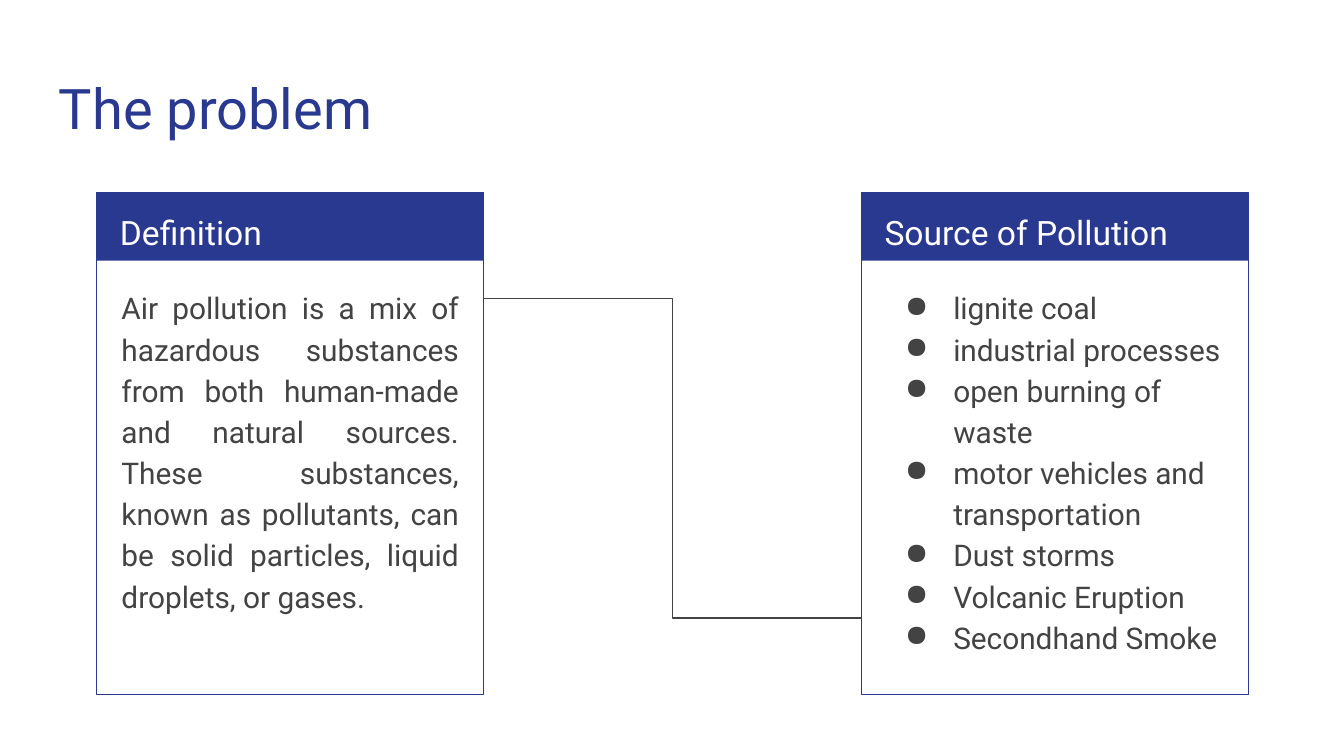
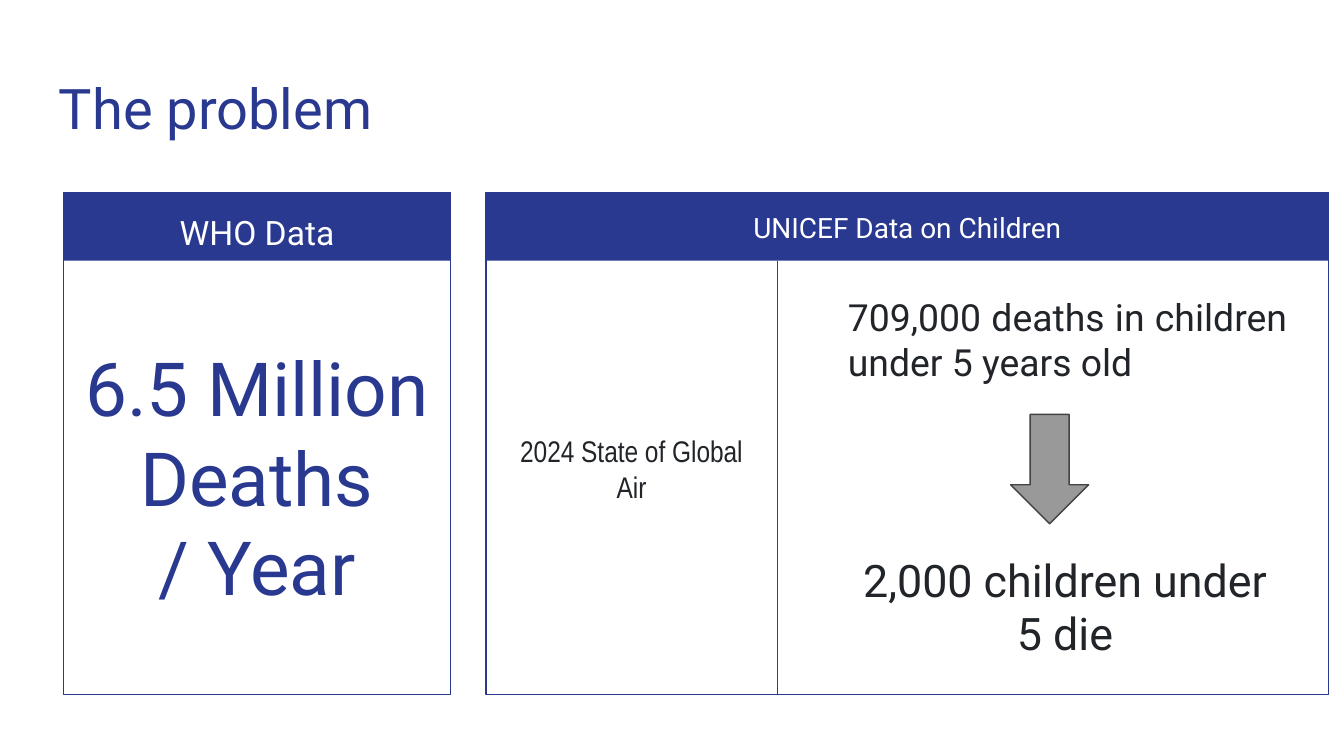
from lxml import etree
from pptx import Presentation
from pptx.dml.color import RGBColor
from pptx.enum import shapes, text
from pptx.oxml import ns
from pptx.util import Pt

NAVY = RGBColor(0x2A, 0x39, 0x90)
WHITE = RGBColor(0xFF, 0xFF, 0xFF)
DARK_GREY = RGBColor(0x43, 0x43, 0x43)
INK = RGBColor(0x21, 0x25, 0x29)
ARROW_GREY = RGBColor(0x99, 0x99, 0x99)

CARD_TOP, CARD_WIDTH, CARD_HEIGHT = 103, 207.4, 269.2
HEADER_HEIGHT = 36.7
INSET = 7.2
LINE_WIDTH = 0.75

LEFT, CENTER, JUSTIFY = (text.PP_ALIGN.LEFT, text.PP_ALIGN.CENTER,
                         text.PP_ALIGN.JUSTIFY)
TOP, MIDDLE = text.MSO_ANCHOR.TOP, text.MSO_ANCHOR.MIDDLE
RECTANGLE = shapes.MSO_SHAPE.RECTANGLE
RIGHT_ARROW = shapes.MSO_SHAPE.RIGHT_ARROW
STRAIGHT, ELBOW = shapes.MSO_CONNECTOR.STRAIGHT, shapes.MSO_CONNECTOR.ELBOW


class Deck:
    """Shared style and the slide being filled."""

    def __init__(self):
        self.presentation = Presentation()
        self.presentation.slide_width = Pt(720)
        self.presentation.slide_height = Pt(405)
        self.slide = None

    def new_slide(self, title):
        blank = self.presentation.slide_layouts[6]
        self.slide = self.presentation.slides.add_slide(blank)
        self.text([title], 24.5, 32.4, 671, 47.5, 30, NAVY)

    def text(self, lines, left, top, width, height, size, color, align=LEFT,
             anchor=TOP, font="Roboto", spacing=None, bullets=False):
        box = self.slide.shapes.add_textbox(Pt(left), Pt(top), Pt(width), Pt(height))
        frame = box.text_frame
        frame.word_wrap = True
        frame.vertical_anchor = anchor
        frame.margin_left = frame.margin_right = Pt(INSET)
        frame.margin_top = frame.margin_bottom = Pt(INSET)
        frame.text = "\n".join(lines)
        for paragraph in frame.paragraphs:
            paragraph.alignment = align
            if spacing:
                paragraph.line_spacing = spacing
            if bullets:
                self.bullet(paragraph)
            for run in paragraph.runs:
                run.font.name = font
                run.font.size = Pt(size)
                run.font.color.rgb = color

    def bullet(self, paragraph):
        properties = paragraph._p.get_or_add_pPr()
        properties.set("marL", str(Pt(36)))
        properties.set("indent", str(-Pt(25.9)))
        etree.SubElement(properties, ns.qn("a:buChar"), char="●")

    def shape(self, kind, left, top, width, height, fill=None, line=None):
        shape = self.slide.shapes.add_shape(
            kind, Pt(left), Pt(top), Pt(width), Pt(height))
        shape.shadow.inherit = False
        if fill is None:
            shape.fill.background()
        else:
            shape.fill.solid()
            shape.fill.fore_color.rgb = fill
        if line is None:
            shape.line.fill.background()
        else:
            shape.line.color.rgb = line
            shape.line.width = Pt(LINE_WIDTH)
        return shape

    def connector(self, kind, x1, y1, x2, y2):
        connector = self.slide.shapes.add_connector(
            kind, Pt(x1), Pt(y1), Pt(x2), Pt(y2))
        connector.line.color.rgb = DARK_GREY
        connector.line.width = Pt(LINE_WIDTH)
        etree.SubElement(connector._element.spPr, ns.qn("a:effectLst"))

    def card(self, heading, left, width=CARD_WIDTH, size=18, align=LEFT):
        self.shape(RECTANGLE, left, CARD_TOP, width, HEADER_HEIGHT, fill=NAVY)
        self.shape(RECTANGLE, left, CARD_TOP, width, CARD_HEIGHT, line=NAVY)
        self.text([heading], left + 5.4, CARD_TOP, width - 10.8, HEADER_HEIGHT,
                  size, WHITE, align, spacing=1.15)

    def card_body(self, lines, left, align=LEFT, bullets=False):
        self.text(lines, left + 6.2, 145.4, CARD_WIDTH - 12.4, 220.3, 16,
                  DARK_GREY, align, spacing=1.15, bullets=bullets)


def definition_slide(deck):
    definition_left, source_left = 51.8, 461.4
    deck.new_slide("The problem")

    # Definition card
    deck.card("Definition", definition_left)
    deck.card_body(
        ["Air pollution is a mix of hazardous substances from both human-made "
         "and natural sources. These substances, known as pollutants, can be "
         "solid particles, liquid droplets, or gases."],
        definition_left, JUSTIFY)

    # Source card
    deck.card("Source of Pollution", source_left)
    deck.card_body(
        ["lignite coal", "industrial processes", "open burning of waste",
         "motor vehicles and transportation", "Dust storms",
         "Volcanic Eruption", "Secondhand Smoke"],
        source_left, bullets=True)

    # Link between the cards
    deck.connector(ELBOW, definition_left + CARD_WIDTH, 160, source_left, 331.2)


def data_slide(deck):
    who_left, unicef_left, divider = 34, 260.4, 416.4
    body_top, card_bottom = CARD_TOP + HEADER_HEIGHT, CARD_TOP + CARD_HEIGHT
    deck.new_slide("The problem")

    # WHO card
    deck.card("WHO Data", who_left, align=CENTER)
    deck.text(["6.5 Million", "Deaths", "/ Year"], who_left, body_top - 0.7,
              CARD_WIDTH, 232.6, 40, NAVY, CENTER, MIDDLE)

    # UNICEF card: report on the left, figures on the right
    deck.card("UNICEF Data on Children", unicef_left, 451.4, 15, CENTER)
    deck.text(["2024 State of Global Air"], 264.2, 224.6, 148.3, 53.3, 16, INK,
              CENTER, font="Arial Narrow")
    deck.text(["709,000 deaths in children under 5 years old"],
              447.1, 150.5, 249.8, 63.4, 20, INK, JUSTIFY)
    arrow = deck.shape(RIGHT_ARROW, 533, 230.4, 58.6, 41.8, ARROW_GREY, DARK_GREY)
    arrow.rotation = 90
    deck.text(["2,000 children under 5 die"], 445.7, 288.7, 249.8, 72.7, 24, INK,
              CENTER)
    deck.connector(STRAIGHT, divider, body_top, divider, card_bottom)


def main():
    deck = Deck()
    definition_slide(deck)
    data_slide(deck)
    deck.presentation.save("out.pptx")


if __name__ == "__main__":
    main()
